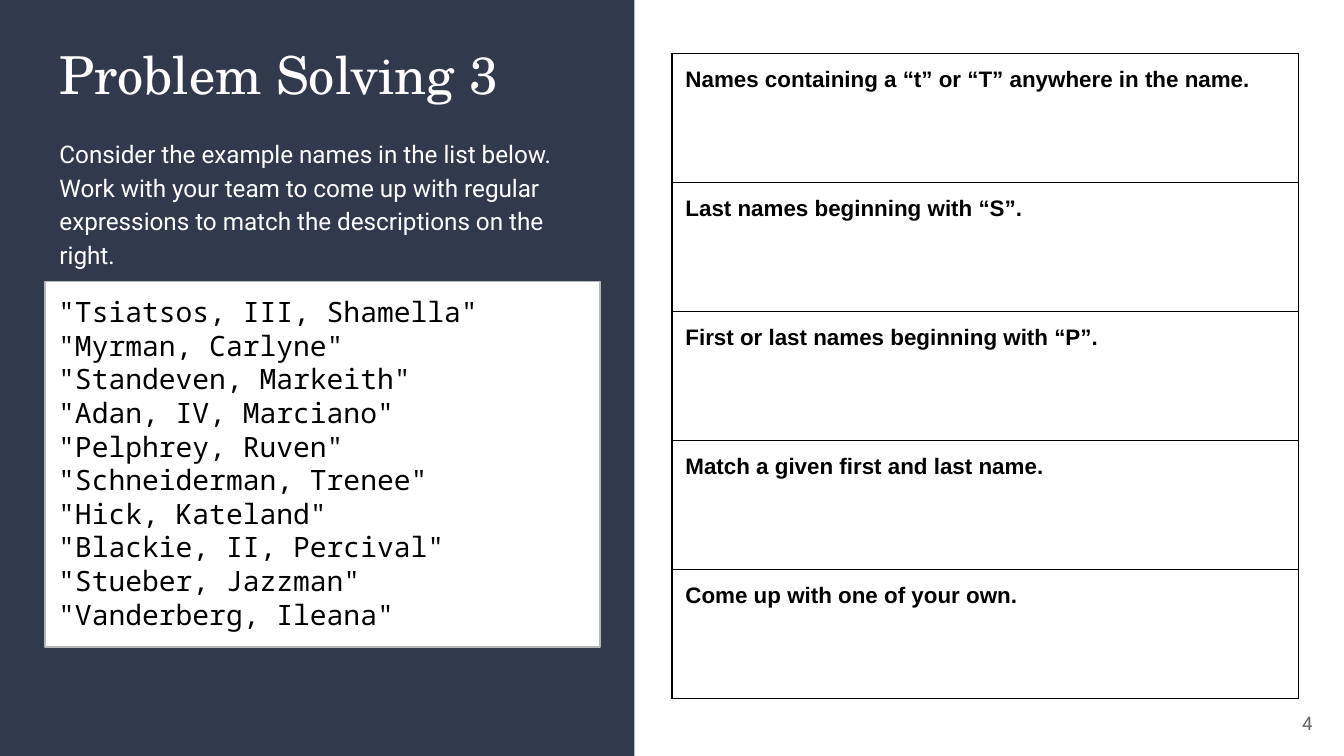
from collections import namedtuple

from lxml import etree
from pptx import Presentation
from pptx import util as u
from pptx.dml.color import RGBColor
from pptx.enum import shapes, text
from pptx.oxml.ns import qn

WIDTH = u.Inches(10)
HEIGHT = WIDTH * 9 // 16
INSET = u.Inches(0.1)
COLORS = {"navy": "31394D", "white": "FFFFFF", "black": "000000",
          "border": "B7B7B7", "number": "666666"}
NAMES = ["Tsiatsos, III, Shamella", "Myrman, Carlyne", "Standeven, Markeith",
         "Adan, IV, Marciano", "Pelphrey, Ruven", "Schneiderman, Trenee",
         "Hick, Kateland", "Blackie, II, Percival", "Stueber, Jazzman",
         "Vanderberg, Ileana"]
TASKS = ["Names containing a “t” or “T” anywhere in the name.",
         "Last names beginning with “S”.",
         "First or last names beginning with “P”.",
         "Match a given first and last name.",
         "Come up with one of your own."]

Box = namedtuple("Box", "left top width height")


def part(box, left, top, width, height):
    """Return the box covering the given percentages of another box."""
    return Box(int(box.left + box.width * left / 100),
               int(box.top + box.height * top / 100),
               int(box.width * width / 100), int(box.height * height / 100))


def color(name):
    return RGBColor.from_string(COLORS[name])


def write(holder, words, font, size, ink, bold=False, spacing=1.0,
          align=text.PP_ALIGN.LEFT):
    frame = holder.text_frame
    frame.word_wrap = True
    frame.margin_left = frame.margin_right = INSET
    frame.margin_top = frame.margin_bottom = INSET
    frame.text = words
    for paragraph in frame.paragraphs:
        paragraph.alignment = align
        paragraph.line_spacing = spacing
        for run in paragraph.runs:
            run.font.name = font
            run.font.size = u.Pt(size)
            run.font.bold = bold
            run.font.color.rgb = color(ink)


def add_panel(slide, box, fill, border=None):
    panel = slide.shapes.add_shape(shapes.MSO_SHAPE.RECTANGLE, *box)
    panel.shadow.inherit = False
    panel.fill.solid()
    panel.fill.fore_color.rgb = color(fill)
    if border:
        panel.line.color.rgb = color(border)
        panel.line.width = u.Pt(0.75)
    else:
        panel.line.fill.background()
    return panel


def outline_cell(cell):
    properties = cell._tc.get_or_add_tcPr()
    for position, side in enumerate(("a:lnL", "a:lnR", "a:lnT", "a:lnB")):
        line = etree.Element(qn(side), w=str(u.Pt(0.75)))
        fill = etree.SubElement(line, qn("a:solidFill"))
        etree.SubElement(fill, qn("a:srgbClr"), val=COLORS["black"])
        properties.insert(position, line)


def add_briefing(slide, box):
    """Place the dark column with the title, instructions and name list."""
    add_panel(slide, box, "navy")
    title = slide.shapes.add_textbox(*part(box, 7.3, 3.75, 85.8, 12.44))
    write(title, "Problem Solving 3", "TeX Gyre Schola", 28, "white")
    instructions = slide.shapes.add_textbox(*part(box, 7.3, 16.1, 85.8, 19.02))
    write(instructions,
          "Consider the example names in the list below. Work with your team "
          "to come up with regular expressions to match the descriptions on "
          "the right.", "Roboto", 13, "white", spacing=1.15)
    name_list = add_panel(slide, part(box, 7.1, 37.2, 87.5, 48.4),
                          "white", "border")
    name_list.text_frame.vertical_anchor = text.MSO_ANCHOR.TOP
    write(name_list, "\n".join(f'"{name}"' for name in NAMES),
          "Noto Sans Mono", 15, "black")


def add_tasks(slide, box):
    table = slide.shapes.add_table(len(TASKS), 1, *box).table
    table.first_row = table.horz_banding = False
    for row, task in enumerate(TASKS):
        table.rows[row].height = box.height // len(TASKS)
        cell = table.cell(row, 0)
        write(cell, task, "Arial", 12, "black", bold=True)
        cell.margin_left = cell.margin_right = INSET
        cell.margin_top = cell.margin_bottom = INSET
        cell.fill.background()
        outline_cell(cell)


def add_page_number(slide, box):
    number = slide.shapes.add_textbox(*box)
    number.text_frame.vertical_anchor = text.MSO_ANCHOR.MIDDLE
    write(number, "4", "Roboto", 10, "number", align=text.PP_ALIGN.RIGHT)


def main():
    deck = Presentation()
    deck.slide_width, deck.slide_height = WIDTH, HEIGHT
    slide = deck.slides.add_slide(deck.slide_layouts[6])
    page = Box(0, 0, WIDTH, HEIGHT)
    add_briefing(slide, part(page, 0, 0, 47.2, 100))
    add_page_number(slide, part(page, 92.65, 91.8, 6, 7.65))
    add_tasks(slide, part(page, 50, 7.11, 46.6, 85.33))
    deck.save("out.pptx")


if __name__ == "__main__":
    main()
